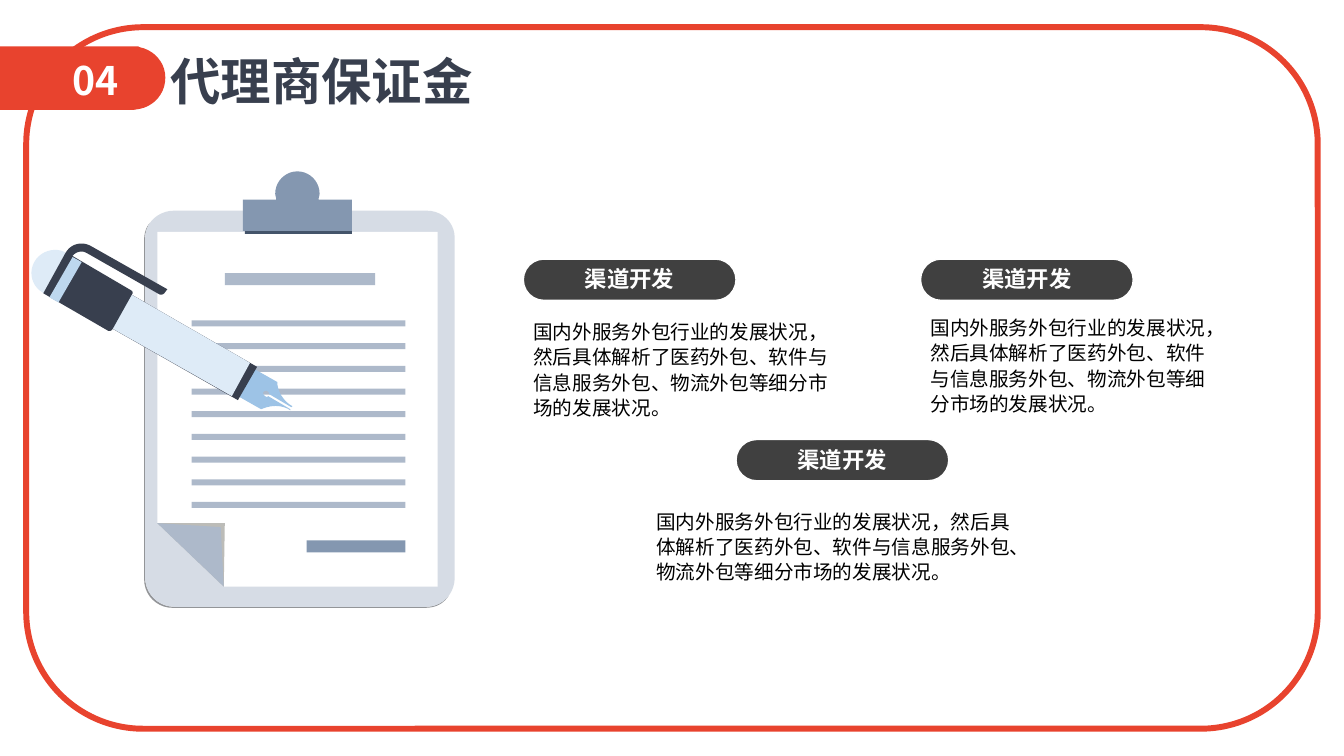
"""Build the agent deposit slide with a clipboard, a pen and three topics."""
from lxml.etree import SubElement
from pptx import Presentation
from pptx.dml.color import RGBColor
from pptx.enum.shapes import MSO_SHAPE
from pptx.enum.text import MSO_ANCHOR, MSO_AUTO_SIZE, PP_ALIGN
from pptx.oxml.ns import qn
from pptx.util import Inches, Pt

FACE = "Noto Sans CJK SC"
RED = RGBColor(0xE8, 0x43, 0x2E)
WHITE = RGBColor(0xFF, 0xFF, 0xFF)
BLACK = RGBColor(0, 0, 0)
DARK = RGBColor(0x40, 0x40, 0x40)
INK = RGBColor(0x38, 0x3F, 0x4E)
SHADE = RGBColor(0x93, 0x95, 0x98)
BOARD = RGBColor(0xD6, 0xDC, 0xE5)
STEEL = RGBColor(0x84, 0x97, 0xB0)
RULE = RGBColor(0xAD, 0xB9, 0xCA)
FOLD = RGBColor(0xBC, 0xBC, 0xB8)
SLATE = RGBColor(0x44, 0x54, 0x6A)
NIB = RGBColor(0x9D, 0xC3, 0xE6)
PALE = RGBColor(0xDE, 0xEB, 0xF7)
BAND = RGBColor(0xBD, 0xD7, 0xEE)

TITLE, NUMBER, LABEL = "代理商保证金", "04", "渠道开发"
BODY = "国内外服务外包行业的发展状况，然后具体解析了医药外包、软件与信息服务外包、物流外包等细分市场的发展状况。"
BODIES = [(5.19, 3.11, 3.28, 1.11), (9.13, 3.07, 3.03, 1.11), (6.41, 4.99, 3.89, 0.86)]
PILLS = [(5.19, 2.57), (9.13, 2.57), (7.3, 4.36)]
PILL = (2.11, 0.41)

TAB = [(0, 0.46), (1.33, 0.46), (1.37, 0.46), (1.39, 0.47),
       (1.53, 0.5, 1.64, 0.62, 1.64, 0.77), (1.64, 0.93, 1.53, 1.05, 1.39, 1.08),
       (1.33, 1.09), (0, 1.09)]

SHEET = [
    (SHADE, [(1.49, 2.21), (1.45, 2.25, 1.43, 2.31, 1.43, 2.38), (1.43, 5.75),
             (1.43, 5.91, 1.56, 6.03, 1.71, 6.03), (4.22, 6.03),
             (4.32, 6.03, 4.4, 5.99, 4.45, 5.91), (4.4, 5.97, 4.32, 6.02, 4.23, 6.02),
             (1.73, 6.02), (1.57, 6.02, 1.44, 5.89, 1.44, 5.73), (1.44, 2.36),
             (1.44, 2.31, 1.46, 2.25, 1.49, 2.21)]),
    (BOARD, [(4.51, 5.73), (4.51, 5.89, 4.39, 6.02, 4.23, 6.02), (1.73, 6.02),
             (1.57, 6.02, 1.44, 5.89, 1.44, 5.73), (1.44, 2.36),
             (1.44, 2.21, 1.57, 2.09, 1.73, 2.09), (4.23, 2.09),
             (4.39, 2.09, 4.51, 2.21, 4.51, 2.36)]),
    (WHITE, [(2.22, 5.82), (4.34, 5.82), (4.34, 2.3), (1.56, 2.3), (1.56, 5.19)]),
]
BARS = [(STEEL, (3.04, 5.36, 0.98, 0.12))]
BARS += [(RULE, (1.9, 3.18 + 0.225 * i, 2.12, 0.06)) for i in range(9)]
BARS += [(RULE, (2.23, 2.71, 1.49, 0.12))]
CORNER = [
    (FOLD, [(2.23, 5.19), (1.56, 5.19), (2.22, 5.82)]),
    (RULE, [(2.19, 5.23), (1.56, 5.19), (2.22, 5.82)]),
]
BASE, KNOB = (2.43, 1.99, 1.06, 0.33), (2.82, 1.79, 0.26, 0.26)
CLIP = [(3.16, 1.98), (3.16, 1.96, 3.17, 1.94, 3.17, 1.92),
        (3.17, 1.8, 3.07, 1.7, 2.95, 1.7), (2.83, 1.7, 2.73, 1.8, 2.73, 1.92),
        (2.73, 1.94, 2.74, 1.96, 2.74, 1.98), (2.41, 1.98), (2.41, 2.29),
        (3.49, 2.29), (3.49, 1.98)]
PEN = [
    (NIB, [(2.37, 3.75), (2.29, 3.89), (2.59, 4.06), (2.68, 4.02, 2.79, 4.01, 2.88, 4.07),
           (2.88, 4.06), (2.66, 3.93), (2.65, 3.94, 2.64, 3.94, 2.63, 3.93),
           (2.61, 3.92, 2.61, 3.9, 2.61, 3.89), (2.62, 3.88, 2.64, 3.87, 2.65, 3.88),
           (2.67, 3.89, 2.67, 3.9, 2.67, 3.91), (2.89, 4.04), (2.9, 4.03),
           (2.81, 3.98, 2.75, 3.88, 2.75, 3.79), (2.45, 3.62)]),
    (INK, [(2.55, 3.64), (2.36, 3.97), (0.78, 3.07), (0.97, 2.73)]),
    (PALE, [(2.48, 3.6), (2.3, 3.93), (0.71, 3.03), (0.9, 2.69)]),
    (PALE, [(0.42, 2.9), (0.43, 2.91), (0.65, 2.51), (0.64, 2.5),
            (0.54, 2.45, 0.4, 2.49, 0.34, 2.6), (0.28, 2.71, 0.32, 2.84, 0.42, 2.9)]),
    (INK, [(0.65, 2.51), (0.43, 2.91), (1.07, 3.28), (1.09, 3.29, 1.11, 3.28, 1.12, 3.26),
           (1.31, 2.92), (1.32, 2.91, 1.32, 2.89, 1.3, 2.88), (0.72, 2.54),
           (0.75, 2.5, 0.81, 2.48, 0.86, 2.51), (1.58, 2.92),
           (1.6, 2.93, 1.62, 2.92, 1.63, 2.91), (1.66, 2.87), (0.9, 2.44),
           (0.81, 2.39, 0.7, 2.42, 0.65, 2.51)]),
    (BAND, [(0.58, 3), (0.81, 2.6), (0.72, 2.55), (0.49, 2.95)]),
]


def inch(box):
    return [Inches(v) for v in box]


def paint(shape, fill=None, line=None, width=1):
    shape.shadow.inherit = False
    for part, color in ((shape.fill, fill), (shape.line.fill, line)):
        if color is None:
            part.background()
        else:
            part.solid()
            part.fore_color.rgb = color
    if line is not None:
        shape.line.width = Pt(width)
    return shape


def preset(shapes, kind, box, *look):
    return paint(shapes.add_shape(kind, *inch(box)), *look)


def flat(steps, parts=10):
    """Turn line and cubic curve steps into plain points."""
    dots = [steps[0]]
    for step in steps[1:]:
        if len(step) == 2:
            dots.append(step)
            continue
        a, b, c, d = dots[-1], step[:2], step[2:4], step[4:]
        for i in range(1, parts + 1):
            t = i / parts
            u = 1 - t
            dots.append(tuple(u**3 * a[k] + 3 * u * u * t * b[k] + 3 * u * t * t * c[k]
                              + t**3 * d[k] for k in (0, 1)))
    return dots


def draw(shapes, fill, steps):
    dots = [inch(dot) for dot in flat(steps)]
    pen = shapes.build_freeform(*dots[0])
    pen.add_line_segments(dots[1:], close=True)
    paint(pen.convert_to_shape(), fill)


def write(shape, text, size, color, bold=False, space=None, align=None, **frame):
    for key, value in frame.items():
        setattr(shape.text_frame, key, value)
    para = shape.text_frame.paragraphs[0]
    for key, value in {"line_spacing": space, "alignment": align}.items():
        setattr(para, key, value)
    run = para.add_run()
    run.text = text
    for key, value in {"size": Pt(size), "bold": bold, "name": FACE}.items():
        setattr(run.font, key, value)
    run.font.color.rgb = color
    SubElement(run.font._element, qn("a:ea")).set("typeface", FACE)


def label(shapes, box, *args, wrap=True, **kind):
    write(shapes.add_textbox(*inch(box)), *args, word_wrap=wrap,
          auto_size=MSO_AUTO_SIZE.SHAPE_TO_FIT_TEXT, **kind)


def main():
    deck = Presentation()
    deck.slide_width, deck.slide_height = Inches(13.33), Inches(7.5)
    shapes = deck.slides.add_slide(deck.slide_layouts[6]).shapes

    draw(shapes, RED, TAB)
    label(shapes, (0.62, 0.51, 1.02, 0.57), NUMBER, 28, WHITE, True)
    preset(shapes, MSO_SHAPE.ROUNDED_RECTANGLE, (0.26, 0.27, 12.81, 6.96), None, RED, 4.25)
    for box in BODIES:
        label(shapes, box, BODY, 14, BLACK, space=Pt(18))
    for spot in PILLS:
        pill = preset(shapes, MSO_SHAPE.ROUNDED_RECTANGLE, spot + PILL, DARK, WHITE)
        pill.adjustments[0] = 0.5
        write(pill, LABEL, 16, WHITE, True, Pt(18), PP_ALIGN.CENTER,
              vertical_anchor=MSO_ANCHOR.MIDDLE)
    label(shapes, (1.59, 0.45, 3.2, 0.71), TITLE, 36, INK, True, wrap=False)

    art = shapes.add_group_shape().shapes
    for item in SHEET:
        draw(art, *item)
    for fill, box in BARS:
        preset(art, MSO_SHAPE.RECTANGLE, box, fill)
    for item in CORNER:
        draw(art, *item)
    preset(art, MSO_SHAPE.RECTANGLE, BASE, SLATE)
    draw(art, STEEL, CLIP)
    preset(art, MSO_SHAPE.OVAL, KNOB, STEEL)
    for item in PEN:
        draw(art, *item)
    deck.save("out.pptx")


if __name__ == "__main__":
    main()
